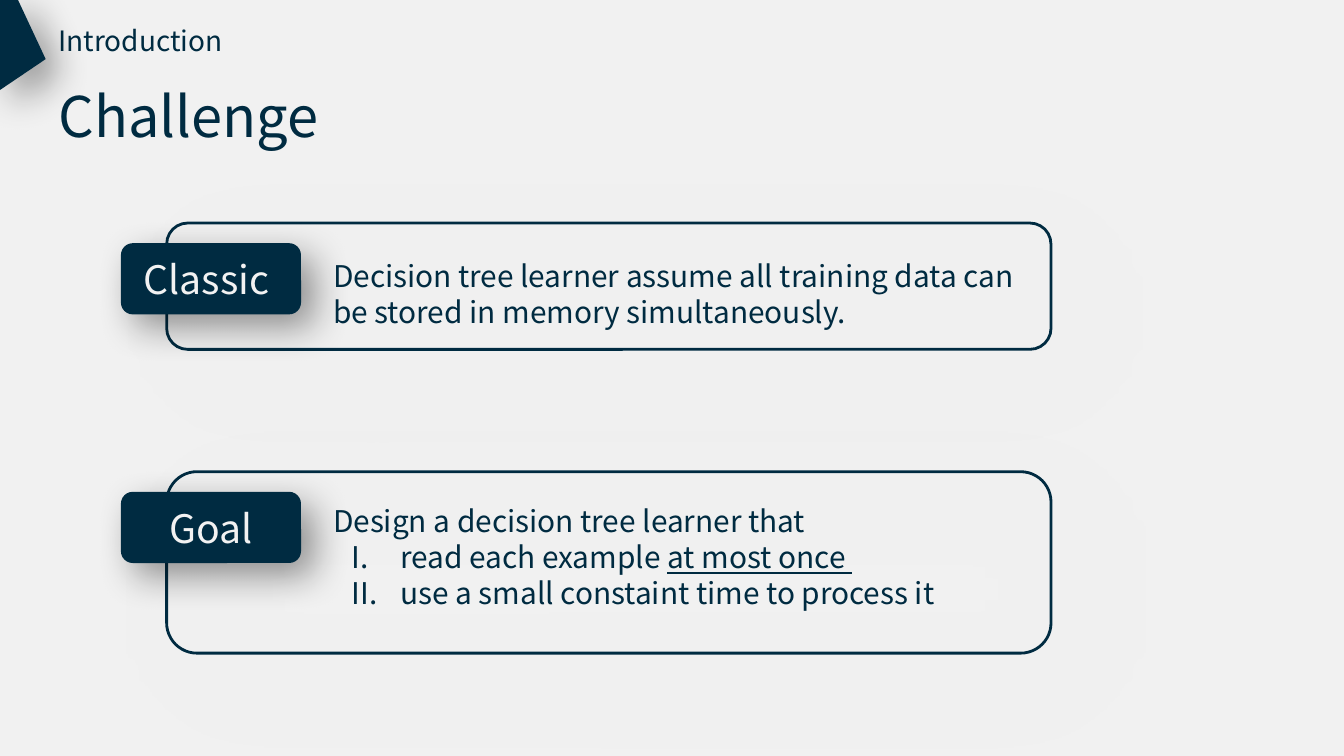
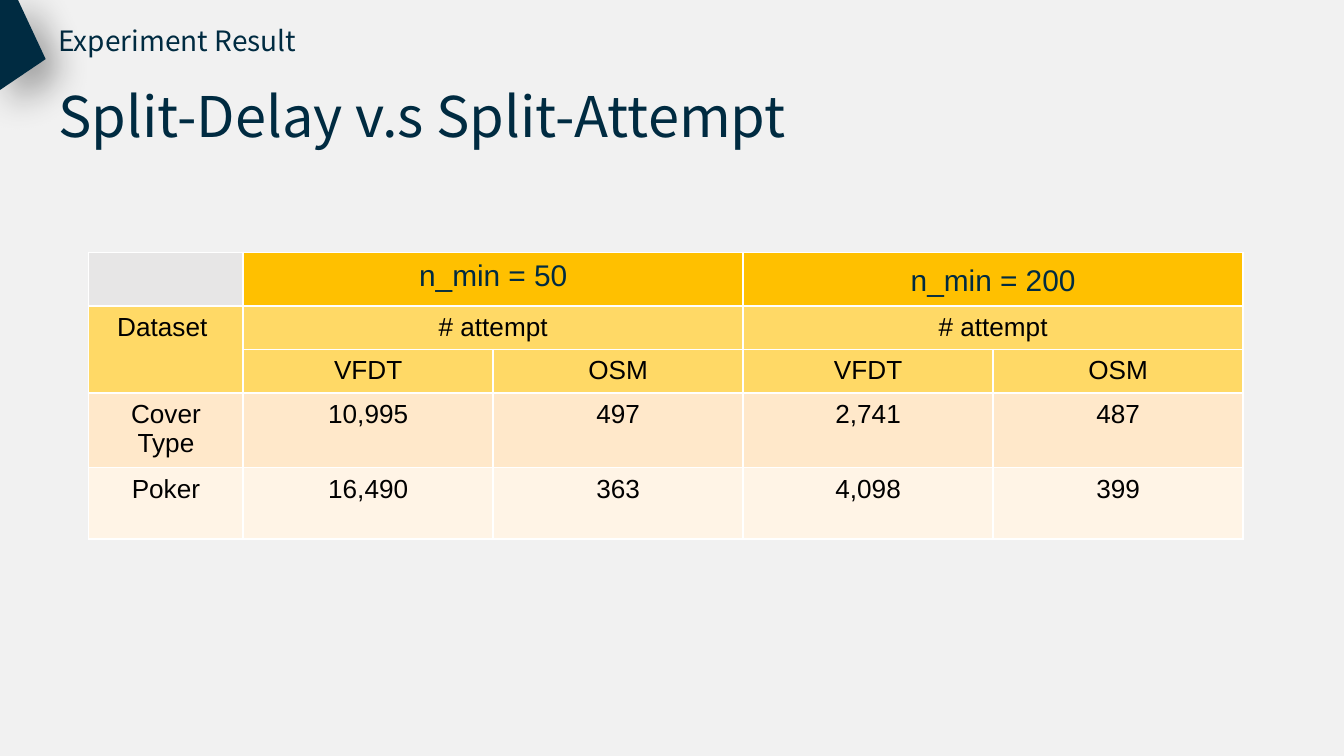
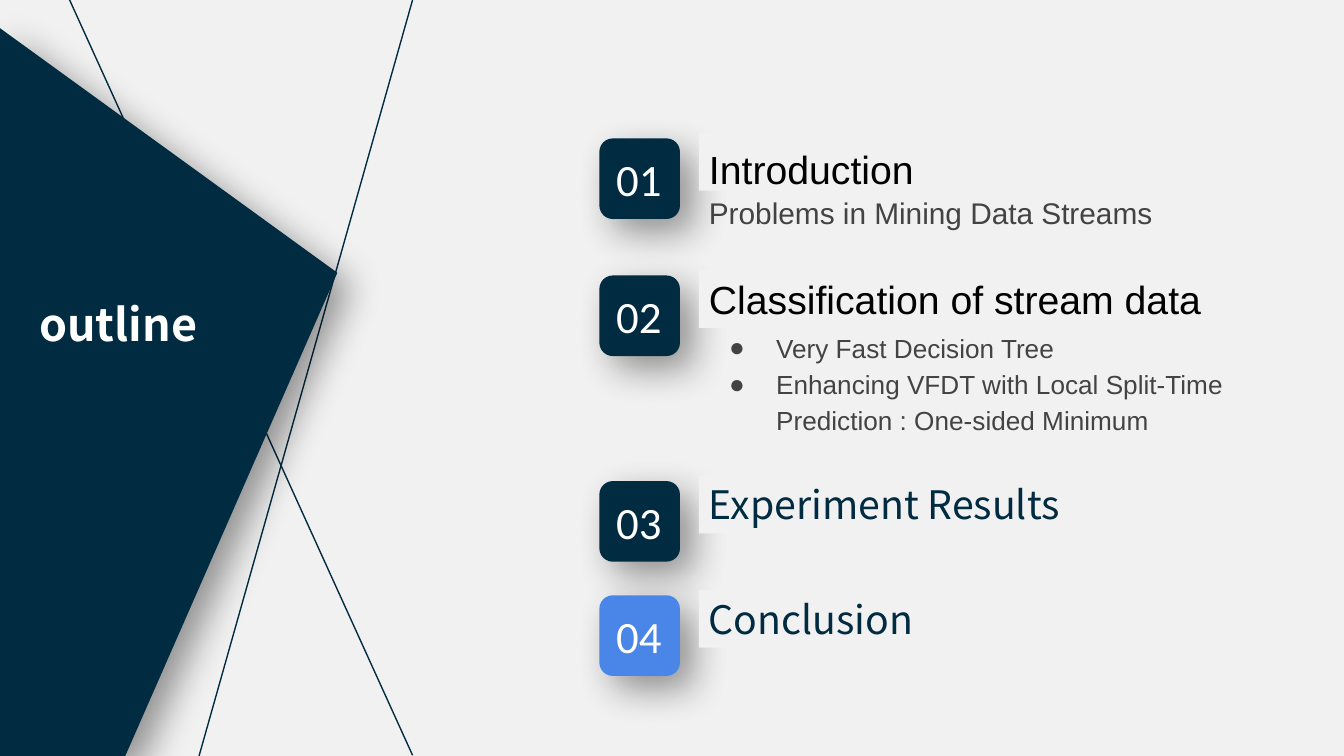
"""Builds three slides on decision tree learning from data streams."""
from lxml import etree
from pptx import Presentation
from pptx.dml.color import RGBColor
from pptx.enum.shapes import MSO_CONNECTOR, MSO_SHAPE
from pptx.enum.text import MSO_ANCHOR, PP_ALIGN
from pptx.oxml.ns import qn
from pptx.util import Inches, Pt

ROUND, RECT = MSO_SHAPE.ROUNDED_RECTANGLE, MSO_SHAPE.RECTANGLE
STRAIGHT = MSO_CONNECTOR.STRAIGHT
LEFT, CENTER = PP_ALIGN.LEFT, PP_ALIGN.CENTER
TOP, MIDDLE = MSO_ANCHOR.TOP, MSO_ANCHOR.MIDDLE

NAVY = RGBColor(0x00, 0x2B, 0x41)
PAPER = RGBColor(0xF1, 0xF1, 0xF1)
PALE = RGBColor(0xF2, 0xF2, 0xF2)
WHITE = RGBColor(0xFF, 0xFF, 0xFF)
BLACK = RGBColor(0x00, 0x00, 0x00)
GRAY = RGBColor(0x43, 0x43, 0x43)
BLUE = RGBColor(0x4A, 0x86, 0xE8)
SILVER = RGBColor(0xE7, 0xE6, 0xE6)
AMBER = RGBColor(0xFF, 0xC0, 0x00)
YELLOW = RGBColor(0xFF, 0xD9, 0x66)
PEACH = RGBColor(0xFF, 0xE8, 0xCA)
CREAM = RGBColor(0xFF, 0xF4, 0xE6)

NOTO, ARIAL, CALIBRI = "Noto Sans CJK SC", "Arial", "Calibri"
DARK_SHADOW = ("000000", 40, 20, 10)
SOFT_SHADOW = ("808080", 20, 50, 20)
TIGHT, LOOSE = (Pt(5.4), Pt(2.7)), (Pt(7.2), Pt(7.2))
BORDERS = {"lnL": 1, "lnR": 1, "lnT": 0.75, "lnB": 0.75}

CORNER = [(0.13, -0.01), (0, -0.01), (0, 0.67), (0.34, 0.44)]
WEDGE = [(0.93, 5.63), (0, 5.63), (0, 0.21), (2.51, 2.03)]
RAYS = [(3.07, 0, 1.46, 5.7), (3.07, 5.62, 0.45, -0.15)]

PANELS = [
    dict(label="Classic ", top=1.66, height=0.94, body=(1.82, 5.38, 0.63),
         lead="Decision tree learner assume all training data can be stored in memory simultaneously.",
         points=[]),
    dict(label="Goal", top=3.51, height=1.35, body=(3.64, 5.17, 1.31),
         lead="Design a decision tree learner that",
         points=[[("read each example ", False), ("at most once ", True)],
                 "use a small constaint time to process it"]),
]

COLUMNS = [1.15] + [1.86] * 4
ROW_HEIGHTS = [0.36, 0.31, 0.31, 0.53, 0.53]
ROW_FILLS = [AMBER, YELLOW, YELLOW, PEACH, CREAM]
CELLS = [
    ["", "n_min = 50", "", "n_min = 200", ""],
    ["Dataset ", "# attempt", "", "# attempt", ""],
    ["", "VFDT", "OSM", "VFDT", "OSM"],
    ["Cover Type", "10,995", "497", "2,741", "487"],
    ["Poker", "16,490", "363", "4,098", "399"],
]
MERGES = [(0, 1, 0, 2), (0, 3, 0, 4), (1, 0, 2, 0), (1, 1, 1, 2), (1, 3, 1, 4)]

OUTLINE = [
    dict(top=1.03, width=2.38, title="Introduction", font=ARIAL, color=BLACK, spacing=1.15),
    dict(top=2.05, width=4.34, title="Classification of stream data", font=ARIAL, color=BLACK),
    dict(top=3.58, width=3.87, title="Experiment Results"),
    dict(top=4.43, width=2.38, title="Conclusion", badge=BLUE),
]
PROBLEMS = "Problems in Mining Data Streams"
METHODS = ["Very Fast Decision Tree",
           "Enhancing VFDT with Local Split-Time Prediction : One-sided Minimum"]


def add_bullet(p, kind, value, color, indent):
    """Gives a paragraph a coloured bullet and a hanging indent."""
    pPr = p._p.get_or_add_pPr()
    pPr.set("marL", str(Inches(0.5)))
    pPr.set("indent", str(-Inches(indent)))
    clr = etree.SubElement(pPr, qn("a:buClr"))
    etree.SubElement(clr, qn("a:srgbClr"), val=str(color))
    if kind == "buChar":
        etree.SubElement(pPr, qn("a:buFont"), typeface=ARIAL)
    attribute = "type" if kind == "buAutoNum" else "char"
    etree.SubElement(pPr, qn("a:" + kind)).set(attribute, value)


def write(tf, text, size=16, font=NOTO, color=NAVY, bold=False, align=LEFT,
          spacing=None, bullet=None, indent=0.35):
    """Appends a paragraph made of a string or of (text, underline) runs."""
    p = tf.add_paragraph() if tf.text else tf.paragraphs[0]
    if bullet:
        add_bullet(p, *bullet, color, indent)
    p.alignment = align
    if spacing:
        p.line_spacing = spacing
    for words, underline in [(text, False)] if isinstance(text, str) else text:
        r = p.add_run()
        r.text = words
        r.font.size, r.font.name, r.font.bold = Pt(size), font, bold
        r.font.color.rgb = color
        if underline:
            r.font.underline = True


def frame(s, inset=TIGHT, anchor=TOP):
    """Sets up the text frame of a shape."""
    tf = s.text_frame
    tf.word_wrap = True
    tf.vertical_anchor = anchor
    tf.margin_left = tf.margin_right = inset[0]
    tf.margin_top = tf.margin_bottom = inset[1]
    return tf


def text_box(slide, box, inset=TIGHT):
    """Adds an empty text box and returns its frame."""
    return frame(slide.shapes.add_textbox(*map(Inches, box)), inset)


def paint(s, fill=None, line=None, shadow=None):
    """Sets the fill, outline and shadow of a shape."""
    s.shadow.inherit = False
    if fill is None:
        s.fill.background()
    else:
        s.fill.solid()
        s.fill.fore_color.rgb = fill
    if line is None:
        s.line.fill.background()
    else:
        s.line.color.rgb = line
        s.line.width = Pt(1.5)
    if shadow:
        color, alpha, blur, distance = shadow
        effects = s._element.spPr.find(qn("a:effectLst"))
        outer = etree.SubElement(effects, qn("a:outerShdw"), blurRad=str(Pt(blur)),
                                 dist=str(Pt(distance)), dir="2700000",
                                 algn="tl", rotWithShape="0")
        clr = etree.SubElement(outer, qn("a:srgbClr"), val=color)
        etree.SubElement(clr, qn("a:alpha"), val=str(alpha * 1000))


def block(slide, kind, box, **look):
    """Adds a painted preset shape."""
    s = slide.shapes.add_shape(kind, *map(Inches, box))
    paint(s, **look)
    return s


def polygon(slide, points):
    """Adds a navy polygon with a shadow."""
    start, *rest = [(Inches(x), Inches(y)) for x, y in points]
    builder = slide.shapes.build_freeform(*start)
    builder.add_line_segments(rest, close=True)
    paint(builder.convert_to_shape(), fill=NAVY, shadow=DARK_SHADOW)


def new_slide(prs, section=None, title=None):
    """Adds a slide with its background and, if titled, its heading."""
    slide = prs.slides.add_slide(prs.slide_layouts[6])
    slide.background.fill.solid()
    slide.background.fill.fore_color.rgb = PAPER
    if title:
        write(text_box(slide, (0.36, 0.14, 3.09, 0.33)), section, size=15)
        write(text_box(slide, (0.36, 0.42, 7.46, 0.51)), title, size=30, spacing=1.3)
        polygon(slide, CORNER)
    return slide


def challenge_slide(prs):
    """Builds the two labelled panels."""
    slide = new_slide(prs, "Introduction", "Challenge")
    for panel in PANELS:
        top = panel["top"]
        block(slide, ROUND, (1.24, top, 6.58, panel["height"]), line=NAVY, shadow=SOFT_SHADOW)
        label = block(slide, ROUND, (0.9, top + 0.15, 1.34, 0.53), fill=NAVY, shadow=DARK_SHADOW)
        write(frame(label, anchor=MIDDLE), panel["label"], size=21, color=PALE, align=CENTER)
        tf = text_box(slide, (2.38, *panel["body"]), LOOSE)
        write(tf, panel["lead"])
        for point in panel["points"]:
            write(tf, point, bullet=("buAutoNum", "romanUcPeriod"), indent=0.36)


def add_borders(cell):
    """Draws white lines on all sides of a cell."""
    tcPr = cell._tc.get_or_add_tcPr()
    for side, width in BORDERS.items():
        ln = etree.SubElement(tcPr, qn("a:" + side), w=str(Pt(width)))
        fill = etree.SubElement(ln, qn("a:solidFill"))
        etree.SubElement(fill, qn("a:srgbClr"), val=str(WHITE))


def result_slide(prs):
    """Builds the table of split attempts."""
    slide = new_slide(prs, "Experiment Result", "Split-Delay v.s Split-Attempt")
    box = (0.66, 1.88, sum(COLUMNS), sum(ROW_HEIGHTS))
    table = slide.shapes.add_table(len(CELLS), len(COLUMNS), *map(Inches, box)).table
    table.first_row = table.horz_banding = False
    for column, width in zip(table.columns, COLUMNS):
        column.width = Inches(width)
    for row, height in zip(table.rows, ROW_HEIGHTS):
        row.height = Inches(height)
    for top, left, bottom, right in MERGES:
        table.cell(top, left).merge(table.cell(bottom, right))
    for i, texts in enumerate(CELLS):
        for j, text in enumerate(texts):
            cell = table.cell(i, j)
            add_borders(cell)
            cell.margin_bottom = Inches(0.04)
            cell.fill.solid()
            cell.fill.fore_color.rgb = ROW_FILLS[i] if i or j else SILVER
            if not cell.is_spanned:
                write(cell.text_frame, text, size=14 if i else 16, font=ARIAL,
                      color=BLACK if i else NAVY, align=CENTER,
                      spacing=1.15 if (i, j) == (0, 3) else None)


def outline_slide(prs):
    """Builds the numbered outline beside the wedge."""
    slide = new_slide(prs)
    for ray in RAYS:
        line = slide.shapes.add_connector(STRAIGHT, *map(Inches, ray))
        line.line.color.rgb = NAVY
        line.line.width = Pt(0.75)
        etree.SubElement(line._element.spPr, qn("a:effectLst"))
    polygon(slide, WEDGE)
    write(text_box(slide, (0.16, 2.17, 1.44, 0.48)), "outline", size=24, color=WHITE,
          bold=True, align=CENTER)
    for number, item in enumerate(OUTLINE, 1):
        top = item["top"]
        block(slide, ROUND, (4.46, top, 0.6, 0.6), fill=item.get("badge", NAVY),
              shadow=DARK_SHADOW)
        write(text_box(slide, (4.51, top + 0.06, 0.49, 0.48)), f"{number:02}", size=24,
              font=CALIBRI, color=WHITE)
        heading = block(slide, RECT, (5.2, top - 0.04, item["width"], 0.43), fill=PAPER)
        write(frame(heading), item["title"], size=21, font=item.get("font", NOTO),
              color=item.get("color", NAVY), spacing=item.get("spacing"))
    write(text_box(slide, (5.2, 1.37, 3.73, 0.25)), PROBLEMS, font=ARIAL, color=GRAY,
          spacing=1.15)
    tf = text_box(slide, (5.2, 2.4, 4.54, 1.05))
    for method in METHODS:
        write(tf, method, size=14, font=ARIAL, color=GRAY, spacing=1.15,
              bullet=("buChar", "●"))


def main():
    """Builds and saves the presentation."""
    prs = Presentation()
    prs.slide_width = Inches(10)
    prs.slide_height = prs.slide_width * 9 // 16
    challenge_slide(prs)
    result_slide(prs)
    outline_slide(prs)
    prs.save("out.pptx")


if __name__ == "__main__":
    main()
